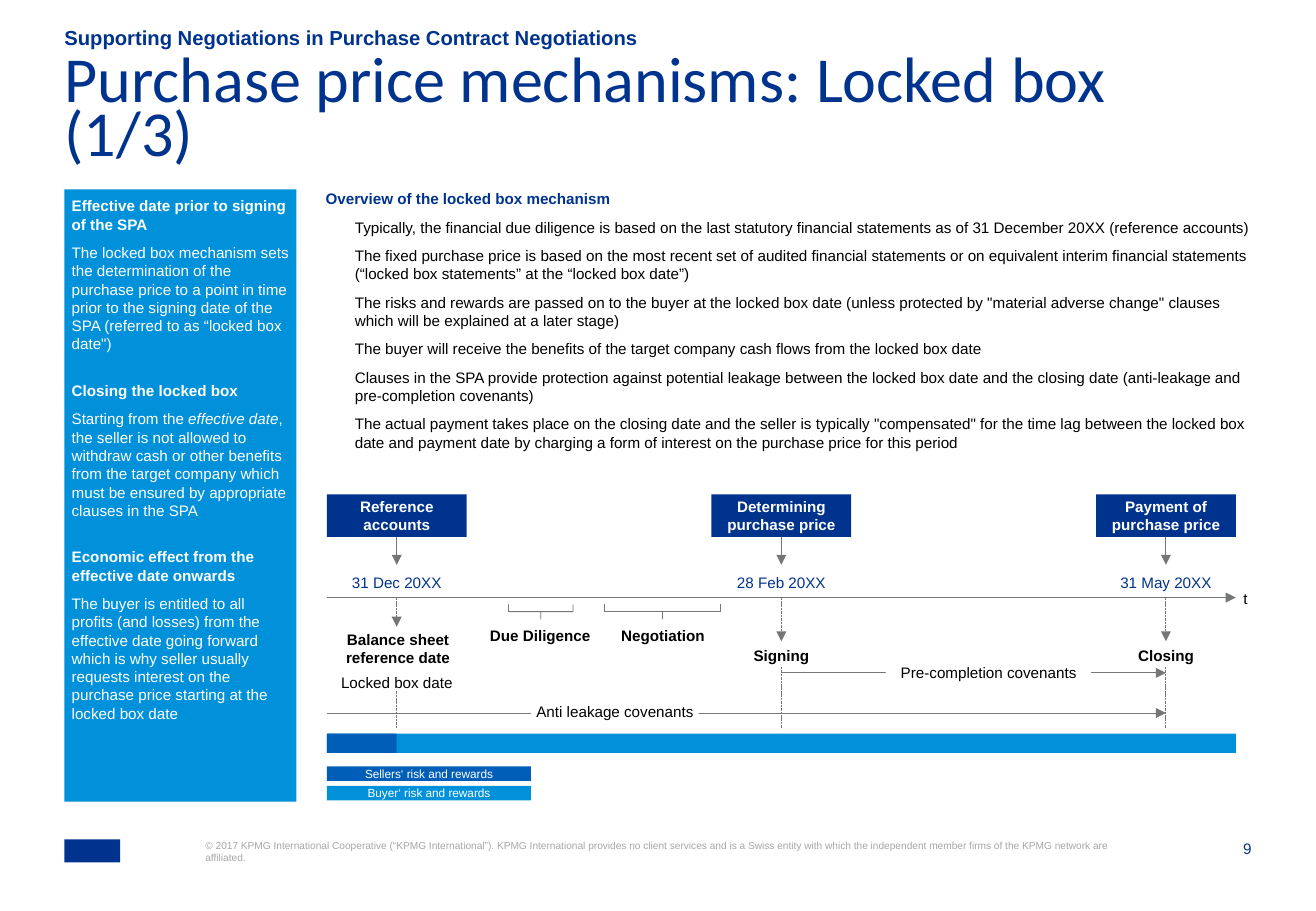
from lxml.etree import SubElement
from pptx import Presentation
from pptx.dml.color import RGBColor
from pptx.enum.dml import MSO_LINE
from pptx.enum.shapes import MSO_CONNECTOR, MSO_SHAPE
from pptx.enum.text import MSO_ANCHOR, PP_ALIGN
from pptx.oxml.ns import qn
from pptx.util import Inches, Pt

NAVY, BLUE, SKY = "00338D", "005EB8", "0091DA"
GREY, PALE, BLACK, WHITE = "747678", "A6A6A6", "000000", "FFFFFF"
CELLS_PER_INCH = 10
MARGIN, BODY_TOP, BODY_HEIGHT = 5.3, 15.6, 50.4
AXIS_LEFT, AXIS_RIGHT, AXIS_ROW = 26.9, 101.7, 49.2
MARK_WIDTH, MARK_STEP = 11.5, 31.65
MARKS = [AXIS_LEFT + MARK_WIDTH / 2 + MARK_STEP * index for index in range(3)]
BOTTOM = 2

SIDEBAR = [
    ("Effective date prior to signing of the SPA",
     ["The locked box mechanism sets the determination of the purchase price to a point in time "
      "prior to the signing date of the SPA (referred to as “locked box date\")"]),
    ("Closing the locked box",
     ["Starting from the ", "effective date",
      ", the seller is not allowed to withdraw cash or other benefits from the target company "
      "which must be ensured by appropriate clauses in the SPA"]),
    ("Economic effect from the effective date onwards",
     ["The buyer is entitled to all profits (and losses) from the effective date going forward "
      "which is why seller usually requests interest on the purchase price starting at the "
      "locked box date"]),
]
OVERVIEW = [
    "Typically, the financial due diligence is based on the last statutory financial statements "
    "as of 31 December 20XX (reference accounts)",
    "The fixed purchase price is based on the most recent set of audited financial statements or "
    "on equivalent interim financial statements (“locked box statements” at the “locked box date”)",
    "The risks and rewards are passed on to the buyer at the locked box date (unless protected by "
    "\"material adverse change\" clauses which will be explained at a later stage)",
    "The buyer will receive the benefits of the target company cash flows from the locked box date",
    "Clauses in the SPA provide protection against potential leakage between the locked box date "
    "and the closing date (anti-leakage and pre-completion covenants)",
    "The actual payment takes place on the closing date and the seller is typically "
    "\"compensated\" for the time lag between the locked box date and payment date by charging a "
    "form of interest on the purchase price for this period",
]
MILESTONES = [
    ("Reference accounts", "31 Dec 20XX", 51.6),
    ("Determining purchase price", "28 Feb 20XX", 52.8),
    ("Payment of purchase price", "31 May 20XX", 52.8),
]
COPYRIGHT = (
    "© 2017 KPMG International Cooperative (“KPMG International”). KPMG International provides no "
    "client services and is a Swiss entity with which the independent member firms of the KPMG "
    "network are affiliated."
)


def grid(cells):
    return Inches(cells / CELLS_PER_INCH)


def color(code):
    return RGBColor.from_string(code)


def write(para, text, size=9, ink=BLACK, bold=False, italic=False, font="Arial"):
    span = para.add_run()
    span.text = text
    span.font.name = font
    span.font.size = Pt(size)
    span.font.bold = bold
    span.font.italic = italic
    span.font.color.rgb = color(ink)


def add_para(box, after=6, indent=0):
    frame = box.text_frame
    para = frame.paragraphs[0] if not frame.paragraphs[0].runs else frame.add_paragraph()
    para.space_after = Pt(after)
    if indent:
        properties = para._p.get_or_add_pPr()
        properties.set("marL", str(grid(indent)))
        properties.set("indent", "0")
    return para


def add_box(page, left, top, width, height, fill=None, inset=0, anchor=MSO_ANCHOR.TOP):
    place = [grid(cells) for cells in (left, top, width, height)]
    if fill:
        box = page.shapes.add_shape(MSO_SHAPE.RECTANGLE, *place)
        box.shadow.inherit = False
        box.fill.solid()
        box.fill.fore_color.rgb = color(fill)
        box.line.fill.background()
    else:
        box = page.shapes.add_textbox(*place)
    frame = box.text_frame
    frame.word_wrap = True
    frame.vertical_anchor = anchor
    frame.margin_left = frame.margin_right = frame.margin_top = frame.margin_bottom = grid(inset)
    return box


def add_label(page, left, top, width, height, text, align=PP_ALIGN.CENTER, spacing=None,
              fill=None, inset=0, anchor=MSO_ANCHOR.TOP, **style):
    box = add_box(page, left, top, width, height, fill, inset, anchor)
    para = add_para(box, after=0)
    para.alignment = align
    if spacing:
        para.line_spacing = spacing
    write(para, text, **style)
    return box


def add_line(page, start, end, arrow=True, dashed=False, source=None):
    points = [grid(cells) for cells in (*start, *end)]
    line = page.shapes.add_connector(MSO_CONNECTOR.STRAIGHT, *points)
    if source is not None:
        line.begin_connect(source, BOTTOM)
    line.line.color.rgb = color(GREY)
    line.line.width = Pt(0.5)
    if dashed:
        line.line.dash_style = MSO_LINE.SQUARE_DOT
    properties = line._element.spPr
    if arrow:
        SubElement(properties.find(qn("a:ln")), qn("a:tailEnd"), type="triangle")
    SubElement(properties, qn("a:effectLst"))


def add_brace(page, left, top, width, height):
    middle, centre = left + width / 2, top + height / 2
    brace = page.shapes.add_shape(
        MSO_SHAPE.RIGHT_BRACE, grid(middle - height / 2), grid(centre - width / 2),
        grid(height), grid(width))
    brace.rotation = 90
    brace.adjustments[0], brace.adjustments[1] = 0, 0.5
    brace.shadow.inherit = False
    brace.fill.background()
    brace.line.color.rgb = color(GREY)
    brace.line.width = Pt(0.5)


def add_headings(page):
    add_label(page, MARGIN, 2.2, 94, 1.9, "Supporting Negotiations in Purchase Contract Negotiations",
              align=PP_ALIGN.LEFT, anchor=MSO_ANCHOR.BOTTOM, size=12, ink=NAVY, bold=True)
    add_label(page, MARGIN, 4.9, 97.5, 7.9, "Purchase price mechanisms: Locked box (1/3)",
              align=PP_ALIGN.LEFT, spacing=0.7, size=38, ink=NAVY, font="Calibri")


def add_sidebar(page):
    box = add_box(page, MARGIN, BODY_TOP, 19.1, BODY_HEIGHT, fill=SKY, inset=0.6)
    for heading, spans in SIDEBAR:
        para = add_para(box)
        para.alignment = PP_ALIGN.LEFT
        write(para, heading, ink=WHITE, bold=True)
        para = add_para(box, after=16.8)
        para.alignment = PP_ALIGN.LEFT
        for index, text in enumerate(spans):
            write(para, text, ink=WHITE, italic=index == 1)


def add_overview(page):
    box = add_box(page, 26.8, BODY_TOP, 76.2, 23)
    write(add_para(box), "Overview of the locked box mechanism", ink=NAVY, bold=True)
    for text in OVERVIEW:
        write(add_para(box, indent=2.4), text)


def add_timeline(page):
    add_line(page, (AXIS_LEFT, AXIS_ROW), (AXIS_RIGHT, AXIS_ROW))
    add_label(page, 100.8, 48.5, 3.4, 1.5, "t")
    for mark, (event, date, arrow_end) in zip(MARKS, MILESTONES):
        box = add_label(page, mark - MARK_WIDTH / 2, 40.7, MARK_WIDTH, 3.5, event, fill=NAVY,
                        anchor=MSO_ANCHOR.MIDDLE, ink=WHITE, bold=True)
        add_line(page, (mark, 44.2), (mark, 46.5), source=box)
        add_label(page, mark - 4.8, 47.2, 9.6, 1.5, date, ink=NAVY)
        add_line(page, (mark, AXIS_ROW), (mark, arrow_end), dashed=True)
    add_label(page, 27.7, 51.9, 10.1, 3, "Balance sheet reference date", bold=True)
    for mark, text in zip(MARKS[1:], ("Signing", "Closing")):
        add_label(page, mark - MARK_WIDTH / 2, 53.2, MARK_WIDTH, 1.5, text, bold=True)
        add_line(page, (mark, 54.9), (mark, 60), arrow=False, dashed=True)
    locked = add_label(page, AXIS_LEFT, 55.4, MARK_WIDTH, 1.5, "Locked box date")
    add_line(page, (MARKS[0], 56.9), (MARKS[0], 60), arrow=False, dashed=True, source=locked)
    for left, text, brace_left, brace_width in (
            (39.4, "Due Diligence", 41.85, 5.3), (49.5, "Negotiation", 49.7, 9.6)):
        add_label(page, left, 51.6, 10.1, 1.5, text, bold=True)
        add_brace(page, brace_left, 49.75, brace_width, 1.2)


def add_covenants(page):
    for start, row, left, top, width, text in (
            (AXIS_LEFT, 58.7, 43.7, 57.8, 13.8, "Anti leakage covenants"),
            (MARKS[1], 55.4, 72.9, 54.6, 16.9, "Pre-completion covenants")):
        add_line(page, (start, row), (MARKS[2], row))
        add_label(page, left, top, width, 1.5, text, fill=WHITE)


def add_risk_bars(page):
    add_box(page, AXIS_LEFT, 60.4, AXIS_RIGHT - AXIS_LEFT, 1.6, fill=SKY)
    add_box(page, AXIS_LEFT, 60.4, MARKS[0] - AXIS_LEFT, 1.6, fill=BLUE)
    for top, text, fill in ((63.1, "Sellers‘ risk and rewards", BLUE),
                            (64.7, "Buyer‘ risk and rewards", SKY)):
        add_label(page, AXIS_LEFT, top, 16.8, 1.2, text, fill=fill, inset=0.4,
                  anchor=MSO_ANCHOR.MIDDLE, size=7, ink=WHITE)


def add_footer(page):
    add_box(page, MARGIN, 69.1, 4.6, 1.9, fill=NAVY)
    add_label(page, 16.9, 69.1, 74.9, 4.1, COPYRIGHT, align=PP_ALIGN.LEFT, size=6, ink=PALE)
    add_label(page, 98.7, 69.1, 4.3, 1.6, "9", align=PP_ALIGN.RIGHT, ink=NAVY)


def main():
    deck = Presentation()
    deck.slide_width, deck.slide_height = grid(108.3), grid(75)
    page = deck.slides.add_slide(deck.slide_layouts[6])
    for add_part in (add_headings, add_sidebar, add_overview, add_timeline,
                     add_covenants, add_risk_bars, add_footer):
        add_part(page)
    deck.save("out.pptx")


if __name__ == "__main__":
    main()
